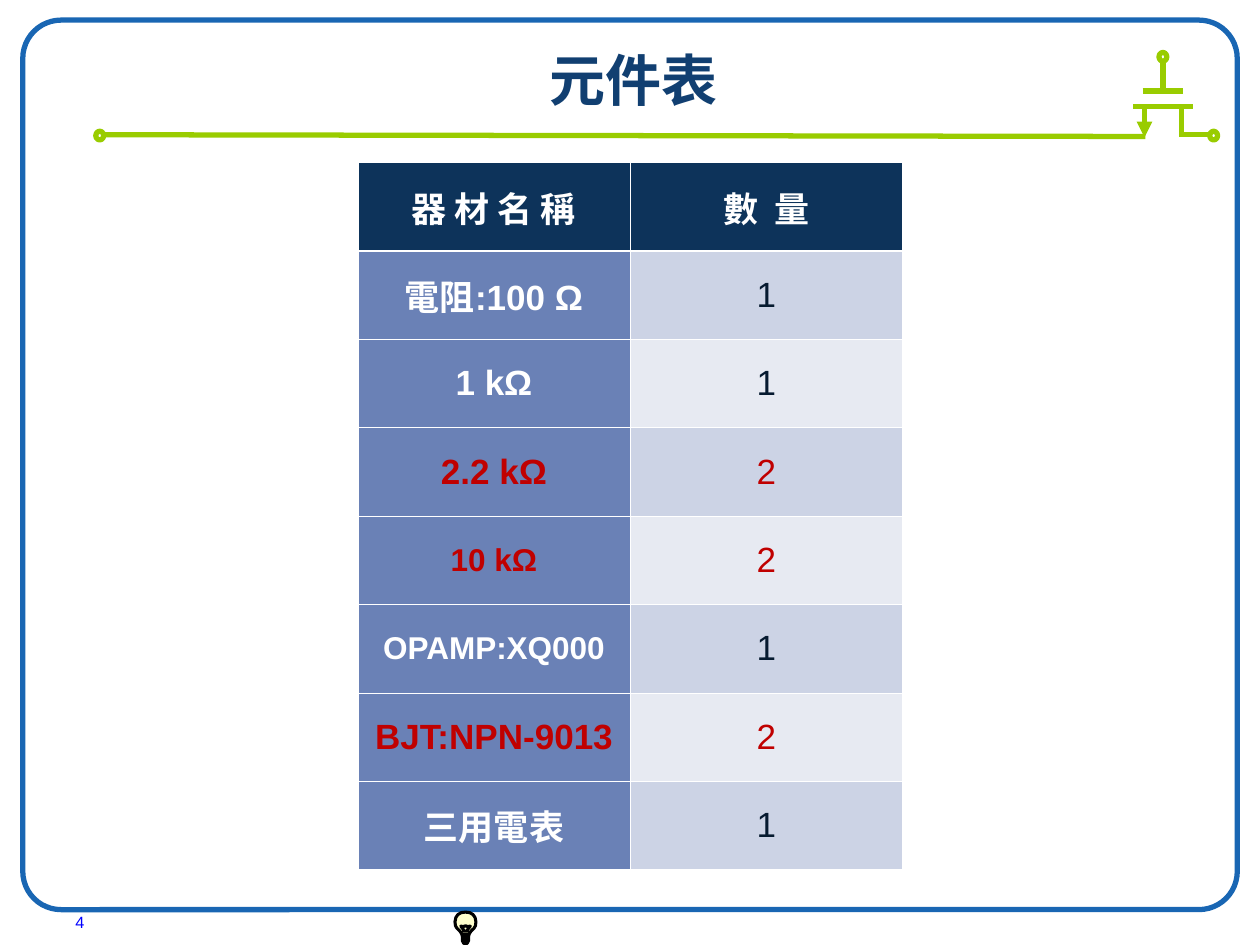
import pptx
import pptx.util
import pptx.dml.color
import pptx.enum.shapes
import pptx.enum.text
import pptx.oxml
from dataclasses import dataclass
from lxml import etree

Pt = pptx.util.Pt
RGB = pptx.dml.color.RGBColor.from_string
SHAPE = pptx.enum.shapes.MSO_SHAPE
ALIGN = pptx.enum.text.PP_ALIGN
ANCHOR = pptx.enum.text.MSO_ANCHOR
NS = "http://schemas.openxmlformats.org/drawingml/2006/main"


@dataclass(frozen=True)
class Theme:
    font: str = "Arial"
    frame: str = "1966B3"
    circuit: str = "99CC00"
    title: str = "113F71"
    header: str = "0D335A"
    names: str = "6A81B6"
    bands: tuple = ("CCD3E5", "E7EAF2")
    white: str = "FFFFFF"
    dark: str = "061A30"
    red: str = "C00000"
    page: str = "0000FF"
    bulb: str = "FFFFCC"
    black: str = "000000"
    title_size: float = 32
    cell_size: float = 20
    small_size: float = 18
    page_size: float = 9.3


T = Theme()

# name, quantity, highlighted, size of the name
PARTS = [
    ("電阻:100 Ω", "1", False, T.cell_size),
    ("1 kΩ", "1", False, T.cell_size),
    ("2.2 kΩ", "2", True, T.cell_size),
    ("10 kΩ", "2", True, T.small_size),
    ("OPAMP:XQ000", "1", False, T.small_size),
    ("BJT:NPN-9013", "2", True, T.cell_size),
    ("三用電表", "1", False, T.cell_size),
]

# x1, y1, x2, y2 of the plain wires of the transistor symbol
WIRES = [
    (60, 77, 654.5, 78),
    (647.5, 61, 682, 61),
    (653, 52, 676, 52),
    (675, 61, 675, 78.5),
    (664.5, 34.5, 664.5, 52),
    (674.5, 77, 692.5, 77),
]
SOURCE_WIRE = (654, 61, 654, 78.5)
TERMINALS = [(664.5, 32.5), (693.5, 77.5), (57, 77.5)]

# Right half of the bulb outline, measured from its axis
BULB_AXIS = 266
BULB_HALF = [
    (0, 521.2), (2.4, 521.5), (4.3, 522.6), (5.5, 524.3), (6, 526.8),
    (5.7, 529), (4.9, 530.4), (3.2, 532), (2.2, 533.5), (1.8, 535),
    (1.8, 537.5), (1, 539), (0, 539.3),
]
FILAMENT = [(-1, 533), (-1, 531.5), (-2.7, 529.2), (-1.2, 529.5), (0, 529),
            (1.2, 529.5), (2.7, 529.2), (1, 531.5), (1, 533)]
SCREW = [(-1.8, 534.2), (1.8, 534.2), (1.8, 535.2), (-1.8, 535.2),
         (-1.8, 536.2), (1.8, 536.2), (1.8, 537.2), (-1.8, 537.2)]


def set_text(tf, text, size, color, bold=False, align=ALIGN.CENTER):
    p = tf.paragraphs[0]
    p.alignment = align
    r = p.add_run()
    r.text = text
    for name, value in {"name": T.font, "size": Pt(size), "bold": bold}.items():
        setattr(r.font, name, value)
    r.font.color.rgb = RGB(color)


def style(sp, line, width, fill=None):
    sp.shadow.inherit = False
    sp.line.color.rgb = RGB(line)
    sp.line.width = Pt(width)
    if fill:
        sp.fill.solid()
        sp.fill.fore_color.rgb = RGB(fill)
    else:
        sp.fill.background()


def add_outline(s, preset, x, y, w, h, color):
    sp = s.shapes.add_shape(preset, Pt(x), Pt(y), Pt(w), Pt(h))
    style(sp, color, 3)
    return sp


def add_wire(s, ends, arrow=False):
    wire = s.shapes.add_connector(
        pptx.enum.shapes.MSO_CONNECTOR.STRAIGHT, *map(Pt, ends))
    wire.line.color.rgb = RGB(T.circuit)
    wire.line.width = Pt(3)
    if arrow:
        etree.SubElement(wire.line._get_or_add_ln(), f"{{{NS}}}tailEnd", type="triangle")
    etree.SubElement(wire._element.spPr, f"{{{NS}}}effectLst")


def add_bulb_part(s, offsets, close):
    points = [(Pt(BULB_AXIS + dx), Pt(y)) for dx, y in offsets]
    builder = s.shapes.build_freeform(*points[0])
    builder.add_line_segments(points[1:], close=close)
    style(builder.convert_to_shape(), T.black, 1.75, T.bulb)


def add_bulb(s):
    left_half = [(-dx, y) for dx, y in BULB_HALF[-2:0:-1]]
    add_bulb_part(s, BULB_HALF + left_half, True)
    add_bulb_part(s, FILAMENT, False)
    add_bulb_part(s, SCREW, False)


def add_background(s):
    frame = add_outline(s, SHAPE.ROUNDED_RECTANGLE, 13, 11.5, 694, 508.3, T.frame)
    frame.adjustments[0] = 0.043
    for ends in WIRES:
        add_wire(s, ends)
    add_wire(s, SOURCE_WIRE, arrow=True)
    for cx, cy in TERMINALS:
        add_outline(s, SHAPE.OVAL, cx - 2.25, cy - 2.5, 4.5, 5, T.circuit)
    add_bulb(s)


def set_borders(cell, widths):
    """Draw white borders; widths maps a side letter (L, R, T, B) to points."""
    tcPr = cell._tc.get_or_add_tcPr()
    for side, width in widths.items():
        tcPr.append(pptx.oxml.parse_xml(
            f'<a:ln{side} xmlns:a="{NS}" w="{Pt(width)}"><a:solidFill>'
            f'<a:srgbClr val="{T.white}"/></a:solidFill></a:ln{side}>'))


def fill_cell(cell, row, text, size, color, bold, fill):
    thin, thick = 0.45, 1.47
    set_borders(cell, {"L": thin, "R": thin,
                       "T": thick if row == 1 else thin,
                       "B": thick if row == 0 else thin})
    layout = {"margin_left": Pt(4.5), "margin_right": Pt(4.5),
              "margin_top": Pt(3.6), "margin_bottom": Pt(3.6),
              "vertical_anchor": ANCHOR.MIDDLE}
    for name, value in layout.items():
        setattr(cell, name, value)
    cell.fill.solid()
    cell.fill.fore_color.rgb = RGB(fill)
    set_text(cell.text_frame, text, size, color, bold)


def add_parts_table(s):
    rows = len(PARTS) + 1
    row_height, col_width = 50.5, 155.6
    table = s.shapes.add_table(rows, 2, Pt(204.5), Pt(93), Pt(2 * col_width),
                               Pt(rows * row_height)).table
    for col in table.columns:
        col.width = Pt(col_width)
    for row in table.rows:
        row.height = Pt(row_height)
    for i, heading in enumerate(("器 材 名 稱", "數  量")):
        fill_cell(table.cell(0, i), 0, heading, T.cell_size, T.white, True, T.header)
    for i, (part, count, marked, size) in enumerate(PARTS, 1):
        fill_cell(table.cell(i, 0), i, part, size,
                  T.red if marked else T.white, True, T.names)
        fill_cell(table.cell(i, 1), i, count, T.cell_size,
                  T.red if marked else T.dark, False, T.bands[(i - 1) % 2])


def add_title(s, text):
    title = s.shapes.title
    box = {"left": 41.8, "top": 18, "width": 640.8, "height": 54}
    for name, value in box.items():
        setattr(title, name, Pt(value))
    title.text_frame.vertical_anchor = ANCHOR.MIDDLE
    set_text(title.text_frame, text, T.title_size, T.title, True)


def add_page_number(s, number):
    tf = s.shapes.add_textbox(Pt(36), Pt(517.7), Pt(168), Pt(19.5)).text_frame
    tf.word_wrap = True
    set_text(tf, number, T.page_size, T.page, align=ALIGN.LEFT)


def main():
    prs = pptx.Presentation()
    prs.slide_width, prs.slide_height = Pt(720), Pt(540)
    s = prs.slides.add_slide(prs.slide_layouts[5])
    add_background(s)
    add_title(s, "元件表")
    add_parts_table(s)
    add_page_number(s, "4")
    prs.save("out.pptx")


if __name__ == "__main__":
    main()
